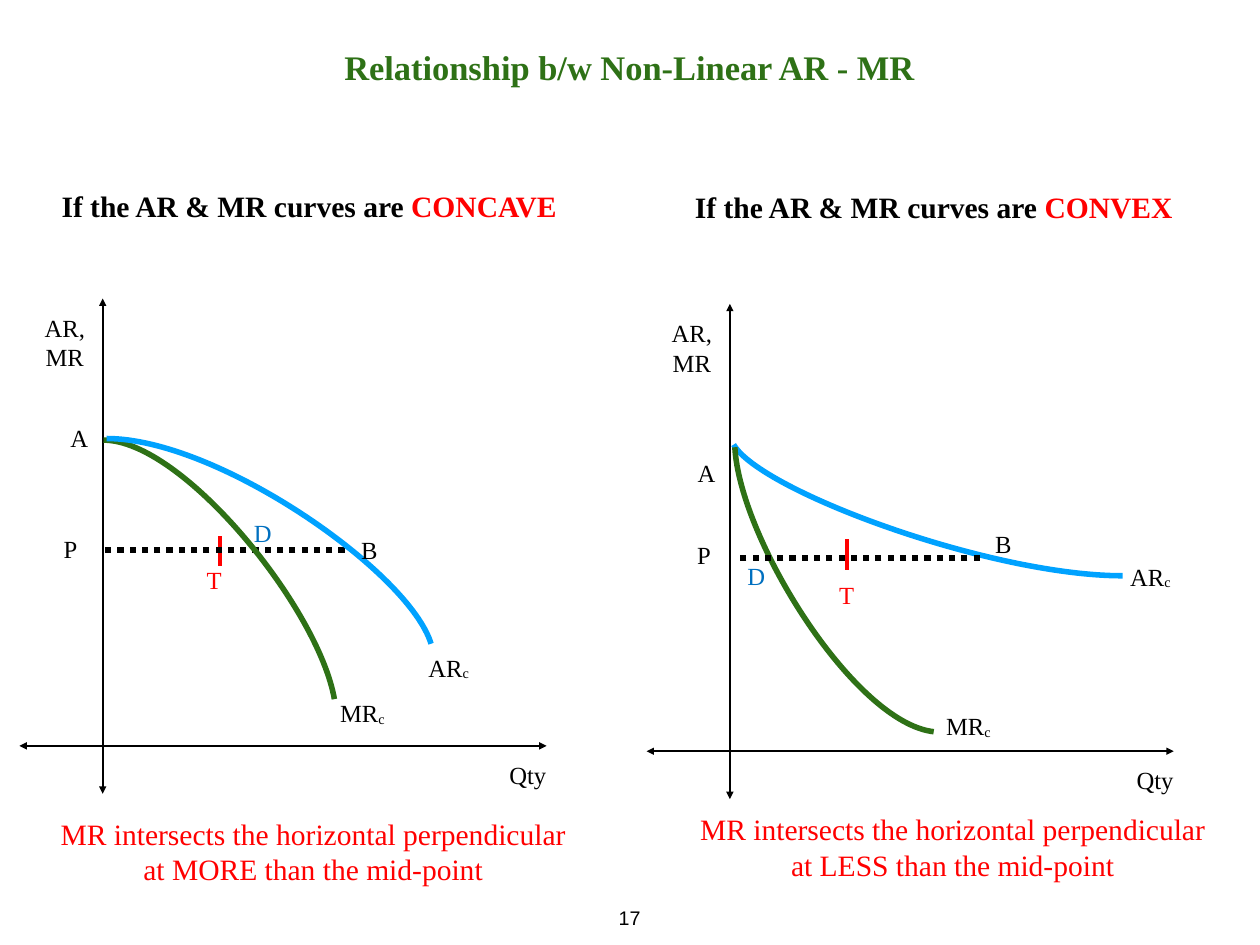
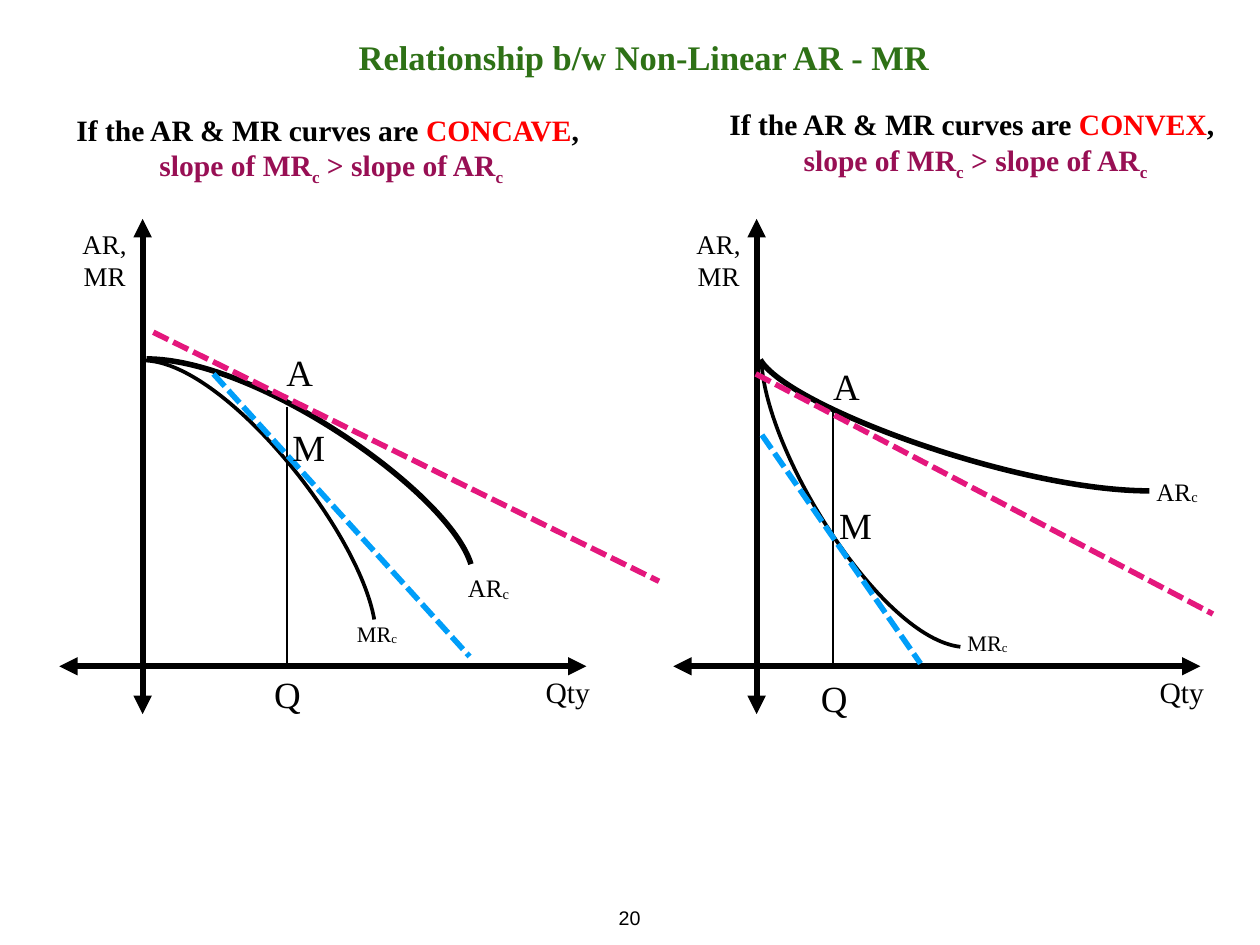
"""Build two slides on how non-linear average and marginal revenue curves relate."""
from lxml import etree
from pptx import Presentation
from pptx.dml.color import RGBColor as RGB
from pptx.enum.dml import MSO_LINE as Dash
from pptx.enum.shapes import MSO_CONNECTOR as Conn
from pptx.enum.text import MSO_ANCHOR as Anchor, MSO_AUTO_SIZE as Auto, PP_ALIGN as Align
from pptx.oxml.ns import qn
from pptx.util import Pt

BLACK = RGB(0x00, 0x00, 0x00)
GREEN = RGB(0x2E, 0x71, 0x16)
RED = RGB(0xFF, 0x00, 0x00)
BLUE = RGB(0x00, 0x70, 0xC0)
SKY = RGB(0x00, 0xA2, 0xFF)
AZURE = RGB(0x00, 0x9E, 0xF9)
PINK = RGB(0xE4, 0x17, 0x7D)
PLUM = RGB(0x98, 0x0F, 0x54)
SERIF, SANS = "Times New Roman", "Arial"
TITLE = "Relationship b/w Non-Linear AR - MR"

CURVES = {
    "concave": {
        "MR": [(0.7, -248.5), (64.8, -248.5), (175.3, -112.2), (188.3, -38)],
        "AR": [(3.2, -249.8), (93.5, -249.8), (249, -141.3), (266.8, -83)],
    },
    "convex": {
        "AR": [(3, -249.2), (24.5, -211.7), (211, -142.6), (319.2, -142.6)],
        "MR": [(4, -247), (8, -172), (101.3, -23), (165.6, -15.8)],
    },
}


def head(kind, end=""):
    """Return the runs of the bold heading over a graph."""
    runs = [("If the AR & MR curves are ", BLACK, 0), (kind, RED, 0)]
    return runs + [(end, BLACK, 0)] if end else runs


def verdict(word):
    """Return the paragraphs of the conclusion under a graph."""
    return [[(f"MR intersects the horizontal perpendicular at {word} than the mid-point", RED, 0)]]


SLOPE = [("slope of MR", PLUM, 0), ("c", PLUM, -25), (" > slope of AR", PLUM, 0), ("c", PLUM, -25)]

SLIDES = [
    {
        "page": "17", "title": (261.4, 30, 500, 45), "axis": 1.5, "names": (20, 20),
        "pens": {"AR": (SKY, 4.5), "MR": (GREEN, 4.5)},
        "texts": [
            ((15.7, 121, 471, 64.8), [head("CONCAVE")], {"bold": True}, 1),
            ((514.8, 123.8, 488, 62.5), [head("CONVEX")], {"bold": True}, 1),
            ((42.5, 659.5, 424, 65), verdict("MORE"), {}, 1),
            ((562.2, 656, 424, 65), verdict("LESS"), {}, 1),
        ],
        "graphs": [
            {"kind": "concave", "zero": (83.5, 606.2),
             "back": [((178.6, 460, 178.6, 435.6), RED, 3, None),
                      ((280, 447.1, 80.8, 447.1), BLACK, 5, Dash.ROUND_DOT)],
             "front": [],
             "labels": [("P", 57.2, 412, 20, BLACK), ("T", 174, 437.6, 20, RED),
                        ("B", 300.1, 413, 20, BLACK), ("D", 213.5, 399.5, 20, BLUE),
                        ("MR", 294.5, 545.7, 20, BLACK), ("A", 64.5, 321.8, 20, BLACK),
                        ("AR", 364.6, 509, 20, BLACK)]},
            {"kind": "convex", "zero": (593.2, 610.5),
             "back": [],
             "front": [((796.2, 453.5, 597.7, 453.5), BLACK, 5, Dash.ROUND_DOT),
                       ((688.4, 438.4, 688.4, 463), RED, 3, None)],
             "labels": [("A", 574.2, 350.6, 20, BLACK), ("AR", 935, 434.9, 20, BLACK),
                        ("MR", 787, 556.5, 20, BLACK), ("D", 614.6, 434.1, 20, BLUE),
                        ("P", 572.1, 417.5, 20, BLACK), ("T", 688, 449.3, 20, RED),
                        ("B", 815.4, 408.2, 20, BLACK)]},
        ],
    },
    {
        "page": "20", "title": (265.6, 22.2, 515, 45), "axis": 5, "names": (21.9, 24),
        "pens": {"AR": (BLACK, 4.5), "MR": (BLACK, 3)},
        "texts": [
            ((43.8, 90.8, 451, 62.6), [head("CONCAVE", ", "), SLOPE], {"bold": True}, 0.9),
            ((567.3, 84.4, 451, 67.7), [head("CONVEX", ", "), SLOPE], {"bold": True}, 1),
        ],
        "graphs": [
            {"kind": "concave", "zero": (115.9, 541.5),
             "back": [],
             "front": [((233.2, 330.5, 233.2, 541.5), BLACK, 2, None),
                       ((173.5, 303.9, 381.6, 533.5), AZURE, 4.5, Dash.SQUARE_DOT),
                       ((124.6, 270, 535.6, 472.4), PINK, 4.5, Dash.SQUARE_DOT)],
             "labels": [("AR", 397, 444.2, 20.4, BLACK), ("MR", 306.4, 480.2, 18, BLACK),
                        ("Q", 233.6, 536.4, 30, BLACK), ("M", 251, 335.5, 30, BLACK),
                        ("A", 243.6, 274.3, 30, BLACK)]},
            {"kind": "convex", "zero": (614.9, 541.5),
             "back": [],
             "front": [((676.8, 330.5, 676.8, 540.8), BLACK, 2, None),
                       ((619.2, 353.5, 748.1, 539.3), AZURE, 4.5, Dash.SQUARE_DOT),
                       ((614.2, 303.9, 985.7, 499), PINK, 4.5, Dash.SQUARE_DOT)],
             "labels": [("Q", 678, 539.3, 30, BLACK), ("AR", 956.6, 365.8, 20.4, BLACK),
                        ("MR", 802.5, 487.4, 18, BLACK), ("A", 688, 285.8, 30, BLACK),
                        ("M", 695.2, 398.9, 30, BLACK)]},
        ],
    },
]


def style(obj, values):
    """Set each attribute in a dict of format values."""
    for key, val in values.items():
        setattr(obj, key, val)


def write(shape, box, paras, size=24, look=None, gap=1, **more):
    """Place a text shape and fill it with runs of (text, colour, baseline)."""
    style(shape, dict(zip(("left", "top", "width", "height"), map(Pt, box))))
    frame = shape.text_frame
    sides = ("margin_left", "margin_top", "margin_right", "margin_bottom")
    style(frame, dict.fromkeys(sides, Pt(4)))
    style(frame, {"word_wrap": True, "auto_size": Auto.NONE, "vertical_anchor": Anchor.BOTTOM} | more)
    for i, runs in enumerate(paras):
        para = frame.add_paragraph() if i else frame.paragraphs[0]
        style(para, {"alignment": Align.CENTER, "line_spacing": gap})
        for text, color, base in runs:
            run = para.add_run()
            run.text = text
            style(run.font, {"name": SERIF, "size": Pt(size)} | (look or {}))
            run.font.color.rgb = color
            if base:
                run.font._element.set("baseline", str(base * 1000))


def add_text(slide, box, *args, **more):
    """Add a text box."""
    write(slide.shapes.add_textbox(0, 0, 0, 0), box, *args, **more)


def add_line(slide, ends, color, width, dash=None, arrows=False):
    """Add a straight line, with arrowheads at both ends if wanted."""
    link = slide.shapes.add_connector(Conn.STRAIGHT, *map(Pt, ends))
    link.line.color.rgb = color
    style(link.line, {"width": Pt(width)} | ({"dash_style": dash} if dash else {}))
    if arrows:
        for tag in ("a:headEnd", "a:tailEnd"):
            etree.SubElement(link.line._ln, qn(tag), type="triangle")
    etree.SubElement(link._element.spPr, qn("a:effectLst"))


def add_curve(slide, zero, knots, color, width):
    """Add a cubic curve given by four knots measured from the origin."""
    spots = [(Pt(zero[0] + x), Pt(zero[1] + y)) for x, y in knots]
    form = slide.shapes.build_freeform(*spots[0], scale=1.0)
    form.add_line_segments(spots[1:], close=False)
    curve = form.convert_to_shape()
    legs = list(curve._element.iter(qn("a:lnTo")))
    bend = etree.SubElement(legs[0].getparent(), qn("a:cubicBezTo"))
    for leg in legs:
        bend.append(leg[0])
        leg.getparent().remove(leg)
    curve.shadow.inherit = False
    curve.fill.background()
    curve.line.color.rgb = color
    curve.line.width = Pt(width)


def add_graph(slide, page, graph):
    """Add one graph: axes, lines, curves and labels."""
    x, y = graph["zero"]
    for ends in ((x, y + 38.9, x, y - 363.6), (x - 67.7, y, x + 360.7, y)):
        add_line(slide, ends, BLACK, page["axis"], arrows=True)
    tall, wide = page["names"]
    add_text(slide, (x - 61.5, y - 362.9, 61.2, 62.8), [[("AR, MR", BLACK, 0)]], tall)
    add_text(slide, (x + 319.5, y + 2.2, 52, 36.8), [[("Qty", BLACK, 0)]], wide)
    for line in graph["back"]:
        add_line(slide, *line)
    for name, knots in CURVES[graph["kind"]].items():
        add_curve(slide, (x, y), knots, *page["pens"][name])
    for line in graph["front"]:
        add_line(slide, *line)
    for text, mid, top, size, color in graph["labels"]:
        runs = [(text, color, 0)]
        wide = 44
        if text in page["pens"]:
            runs.append(("c", color, -6))
            wide = 56
        add_text(slide, (mid - wide / 2, top, wide, 49.6), [runs], size)


def main():
    """Build and save the deck."""
    deck = Presentation()
    style(deck, {"slide_width": Pt(1024), "slide_height": Pt(768)})
    for page in SLIDES:
        slide = deck.slides.add_slide(deck.slide_layouts[5])
        write(slide.shapes.title, page["title"], [[(TITLE, GREEN, 0)]], 28, {"bold": True})
        for graph in page["graphs"]:
            add_graph(slide, page, graph)
        for box, paras, look, gap in page["texts"]:
            add_text(slide, box, paras, 24, look, gap)
        add_text(slide, (498.4, 732.2, 26.6, 25.2), [[(page["page"], BLACK, 0)]], 16,
                 {"name": SANS}, word_wrap=False, vertical_anchor=Anchor.TOP)
    deck.save("out.pptx")


if __name__ == "__main__":
    main()
